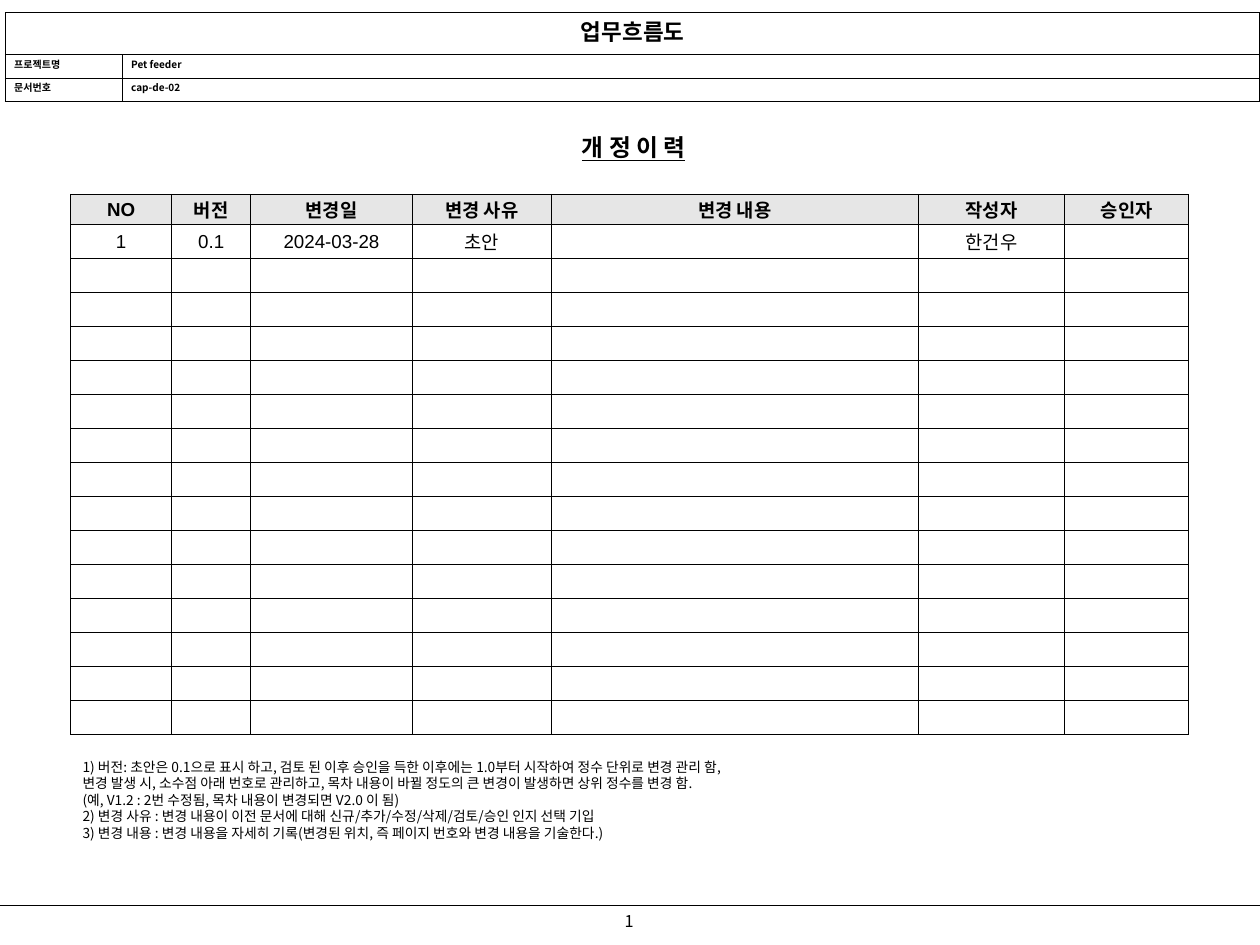
from lxml.etree import SubElement
from pptx import Presentation
from pptx.dml.color import RGBColor
from pptx.enum.text import MSO_ANCHOR, MSO_AUTO_SIZE, PP_ALIGN
from pptx.oxml.ns import qn
from pptx.util import Cm, Pt

BLACK = RGBColor(0x00, 0x00, 0x00)
WHITE = RGBColor(0xFF, 0xFF, 0xFF)
HEADER_GRAY = RGBColor(0xE6, 0xE6, 0xE6)
KOREAN_FONT = "Noto Sans CJK KR"
TABLE_FONT = "Arial"


def format_paragraph(paragraph, size, bold=False, align=PP_ALIGN.LEFT, name=KOREAN_FONT):
    paragraph.alignment = align
    paragraph.font.name = name
    paragraph.font.size = Pt(size)
    paragraph.font.bold = bold
    paragraph.font.color.rgb = BLACK


def format_cell(cell, fill, margin_x, margin_y):
    """Set the fill, the margins and a thin black border on all four sides."""
    cell.margin_left = cell.margin_right = margin_x
    cell.margin_top = cell.margin_bottom = margin_y
    properties = cell._tc.get_or_add_tcPr()
    for side in ("lnL", "lnR", "lnT", "lnB"):
        border = SubElement(properties, qn(f"a:{side}"), w=str(Pt(1)))
        color = SubElement(SubElement(border, qn("a:solidFill")), qn("a:srgbClr"))
        color.set("val", str(BLACK))
    cell.fill.solid()
    cell.fill.fore_color.rgb = fill


presentation = Presentation()
presentation.slide_width = Cm(35.56)
presentation.slide_height = Cm(26.67)
slide = presentation.slides.add_slide(presentation.slide_layouts[1])
title, notes = slide.placeholders

# Document header
header_rows = [("업무흐름도", ""), ("프로젝트명", "Pet feeder"), ("문서번호", "cap-de-02")]
header = slide.shapes.add_table(3, 2, Cm(0.15), Cm(0.36), Cm(35.41), Cm(2.51)).table
for column, width in zip(header.columns, (3.3, 32.11)):
    column.width = Cm(width)
for row, height in zip(header.rows, (1.19, 0.66, 0.66)):
    row.height = Cm(height)
for row_index, texts in enumerate(header_rows):
    for column_index, text in enumerate(texts):
        cell = header.cell(row_index, column_index)
        format_cell(cell, WHITE, Cm(0.25), Cm(0.05))
        cell.text = text
        format_paragraph(cell.text_frame.paragraphs[0], 8, bold=True)
header.cell(0, 0).merge(header.cell(0, 1))
format_paragraph(header.cell(0, 0).text_frame.paragraphs[0], 18, True, PP_ALIGN.CENTER)

# Title
title.left, title.top, title.width, title.height = Cm(14.78), Cm(3.56), Cm(6.2), Cm(1.19)
title.text_frame.text = "개 정 이 력"
title.text_frame.vertical_anchor = MSO_ANCHOR.MIDDLE
title.text_frame.auto_size = MSO_AUTO_SIZE.NONE
format_paragraph(title.text_frame.paragraphs[0], 19, True, PP_ALIGN.CENTER)
title.text_frame.paragraphs[0].font.underline = True

# Revision history
revision_rows = [
    ("NO", "버전", "변경일", "변경 사유", "변경 내용", "작성자", "승인자"),
    ("1", "0.1", "2024-03-28", "초안", "", "한건우", ""),
] + [("",) * 7] * 14
column_widths = (2.84, 2.24, 4.55, 3.94, 10.34, 4.14, 3.5)
revisions = slide.shapes.add_table(
    len(revision_rows), len(column_widths), Cm(2), Cm(5.49), Cm(31.55), Cm(15.27)
).table
for column, width in zip(revisions.columns, column_widths):
    column.width = Cm(width)
for row_index, texts in enumerate(revision_rows):
    is_header = row_index == 0
    revisions.rows[row_index].height = Cm(0.85 if is_header else 0.96)
    for column_index, text in enumerate(texts):
        cell = revisions.cell(row_index, column_index)
        format_cell(cell, HEADER_GRAY if is_header else WHITE, Cm(0.23), 0)
        cell.vertical_anchor = MSO_ANCHOR.MIDDLE
        cell.text = text
        format_paragraph(
            cell.text_frame.paragraphs[0], 15, is_header, PP_ALIGN.CENTER, TABLE_FONT
        )

# Notes on filling in the table
note_lines = [
    "1) 버전: 초안은 0.1으로 표시 하고, 검토 된 이후 승인을 득한 이후에는 1.0부터 시작하여 정수 단위로 변경 관리 함,",
    "변경 발생 시, 소수점 아래 번호로 관리하고, 목차 내용이 바뀔 정도의 큰 변경이 발생하면 상위 정수를 변경 함.",
    "(예, V1.2 : 2번 수정됨, 목차 내용이 변경되면 V2.0 이 됨)",
    "2) 변경 사유 : 변경 내용이 이전 문서에 대해 신규/추가/수정/삭제/검토/승인 인지 선택 기입",
    "3) 변경 내용 : 변경 내용을 자세히 기록(변경된 위치, 즉 페이지 번호와 변경 내용을 기술한다.)",
]
notes.left, notes.top, notes.width, notes.height = Cm(2), Cm(21.23), Cm(31.55), Cm(2.69)
notes.text_frame.text = "\n".join(note_lines)
notes.text_frame.auto_size = MSO_AUTO_SIZE.NONE
notes.text_frame.margin_left = notes.text_frame.margin_right = Cm(0.33)
notes.text_frame.margin_top = notes.text_frame.margin_bottom = Cm(0.18)
for paragraph in notes.text_frame.paragraphs:
    paragraph.space_before = Pt(0)
    paragraph.line_spacing = Pt(13.2)
    properties = paragraph._p.get_or_add_pPr()
    properties.set("marL", "0")
    properties.set("indent", "0")
    SubElement(properties, qn("a:buNone"))
    format_paragraph(paragraph, 11)

# Footer
footer_line = slide.shapes.add_connector(1, 0, Cm(25.55), Cm(35.56), Cm(25.55))
footer_line.line.color.rgb = BLACK
footer_line.line.width = Pt(1)
SubElement(footer_line._element.spPr, qn("a:effectLst"))
page_number = slide.shapes.add_textbox(Cm(17.07), Cm(25.55), Cm(1.37), Cm(0.89))
page_number.text_frame.word_wrap = False
page_number.text_frame.margin_top = page_number.text_frame.margin_bottom = Cm(0.18)
page_number.text_frame.text = "1"
format_paragraph(page_number.text_frame.paragraphs[0], 13, align=PP_ALIGN.CENTER)

presentation.save("out.pptx")
